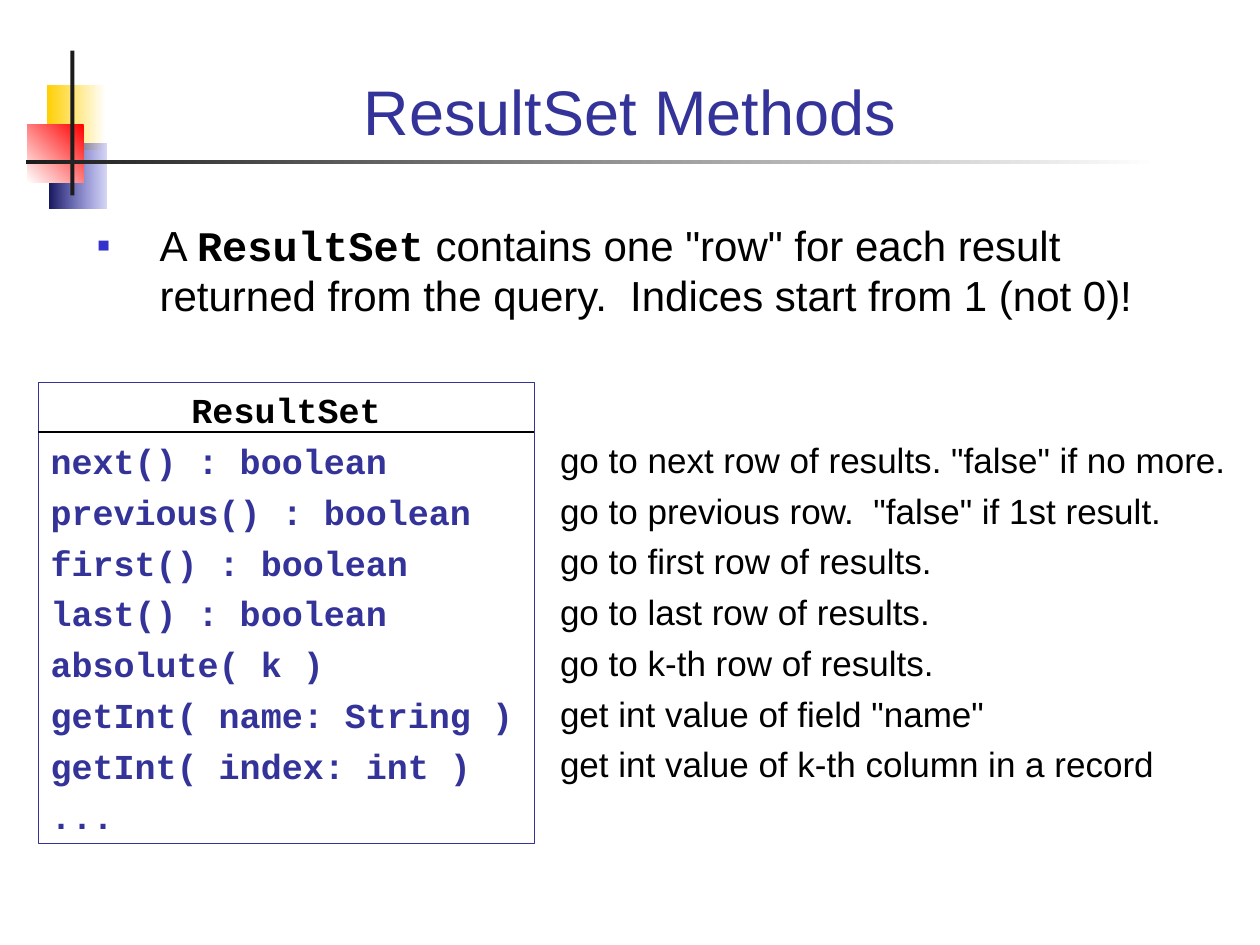
from dataclasses import dataclass

from lxml import etree
from pptx import Presentation
from pptx.dml.color import RGBColor
from pptx.enum.shapes import MSO_CONNECTOR, MSO_SHAPE
from pptx.enum.text import MSO_ANCHOR, PP_ALIGN
from pptx.oxml.ns import qn
from pptx.util import Cm, Pt


@dataclass(frozen=True)
class Theme:
    sans: str = "Arial"
    mono: str = "Courier New"
    title_size: int = 36
    body_size: int = 24
    detail_size: int = 20
    line_gap: int = 5
    black: str = "000000"
    white: str = "FFFFFF"
    indigo: str = "333399"
    bullet: str = "3333CC"
    navy: str = "17175E"
    yellow: str = "FFCF01"
    red: str = "FF0000"
    charcoal: str = "1C1C1C"


THEME = Theme()

METHODS = [
    ("next() : boolean", 'go to next row of results. "false" if no more.'),
    ("previous() : boolean", 'go to previous row.  "false" if 1st result.'),
    ("first() : boolean", "go to first row of results."),
    ("last() : boolean", "go to last row of results."),
    ("absolute( k )", "go to k-th row of results."),
    ("getInt( name: String )", 'get int value of field "name"'),
    ("getInt( index: int )", "get int value of k-th column in a record"),
]


def add_run(paragraph, text, *, size, font=THEME.sans, color=THEME.black, bold=False):
    run = paragraph.add_run()
    run.text = text
    run.font.name = font
    run.font.size = Pt(size)
    run.font.bold = bold
    run.font.color.rgb = RGBColor.from_string(color)


def set_bullet(paragraph, char, color, percent, indent):
    """Give the paragraph a hanging bullet; indent is a length."""
    properties = paragraph._p.get_or_add_pPr()
    properties.set("marL", str(indent))
    properties.set("indent", str(-indent))
    bullet_color = etree.SubElement(properties, qn("a:buClr"))
    etree.SubElement(bullet_color, qn("a:srgbClr"), val=color)
    etree.SubElement(properties, qn("a:buSzPct"), val=str(percent * 1000))
    etree.SubElement(properties, qn("a:buFont"), typeface=THEME.sans)
    etree.SubElement(properties, qn("a:buChar"), char=char)


class SlideBuilder:
    def __init__(self, slide, theme):
        self.slide = slide
        self.theme = theme

    def title(self, text, left, top, width, height):
        heading = self.slide.shapes.title
        heading.left, heading.top = Cm(left), Cm(top)
        heading.width, heading.height = Cm(width), Cm(height)
        frame = self.frame(heading, anchor=MSO_ANCHOR.BOTTOM)
        paragraph = frame.paragraphs[0]
        paragraph.alignment = PP_ALIGN.CENTER
        add_run(paragraph, text, size=self.theme.title_size, color=self.theme.indigo)

    def frame(self, shape, anchor=MSO_ANCHOR.TOP):
        frame = shape.text_frame
        frame.word_wrap = True
        frame.vertical_anchor = anchor
        frame.margin_left = frame.margin_right = Cm(0.25)
        frame.margin_top = frame.margin_bottom = Cm(0.13)
        return frame

    def text_box(self, left, top, width, height):
        box = self.slide.shapes.add_textbox(Cm(left), Cm(top), Cm(width), Cm(height))
        return self.frame(box)

    def rectangle(self, left, top, width, height):
        """Add a rectangle with neither fill, line nor shadow."""
        shape = self.slide.shapes.add_shape(
            MSO_SHAPE.RECTANGLE, Cm(left), Cm(top), Cm(width), Cm(height))
        shape.shadow.inherit = False
        shape.fill.background()
        shape.line.fill.background()
        return shape

    def solid(self, left, top, width, height, color):
        shape = self.rectangle(left, top, width, height)
        shape.fill.solid()
        shape.fill.fore_color.rgb = RGBColor.from_string(color)

    def gradient(self, left, top, width, height, start, end, angle=180, start_opacity=100):
        """Fade start to end; angle runs counter-clockwise, opacity is in percent."""
        shape = self.rectangle(left, top, width, height)
        shape.fill.gradient()
        shape.fill.gradient_angle = angle
        for stop, color in zip(shape.fill.gradient_stops, (start, end)):
            stop.color.rgb = RGBColor.from_string(color)
        if start_opacity < 100:
            first_color = shape.element.spPr.find(".//" + qn("a:srgbClr"))
            etree.SubElement(first_color, qn("a:alpha"), val=str(start_opacity * 1000))

    def outlined_box(self, left, top, width, height):
        shape = self.rectangle(left, top, width, height)
        shape.line.color.rgb = RGBColor.from_string(self.theme.indigo)
        shape.line.width = Pt(0.75)
        return self.frame(shape)

    def rule(self, left, right, y):
        line = self.slide.shapes.add_connector(
            MSO_CONNECTOR.STRAIGHT, Cm(left), Cm(y), Cm(right), Cm(y))
        line.line.color.rgb = RGBColor.from_string(self.theme.black)
        line.line.width = Pt(1)
        etree.SubElement(line.element.spPr, qn("a:effectLst"))

    def lines(self, frame, texts, **style):
        """Append one paragraph per text, spaced by the theme's line gap."""
        for text in texts:
            paragraph = frame.paragraphs[0]
            if paragraph.runs:
                paragraph = frame.add_paragraph()
                paragraph.space_before = Pt(self.theme.line_gap)
            paragraph.alignment = PP_ALIGN.LEFT
            add_run(paragraph, text, size=self.theme.detail_size, **style)


def add_ornament(builder):
    theme = builder.theme
    builder.gradient(0.94, 1.71, 1.19, 1.32, theme.white, theme.yellow)
    builder.gradient(1, 2.9, 1.14, 1.31, theme.bullet, theme.navy, start_opacity=20)
    builder.gradient(0.55, 2.51, 1.14, 1.17, theme.red, theme.white, angle=225)
    builder.solid(1.42, 1.02, 0.08, 2.92, theme.charcoal)
    builder.gradient(0.53, 3.23, 22.83, 0.08, theme.white, theme.charcoal)


def add_introduction(builder):
    theme = builder.theme
    introduction = builder.text_box(1.7, 4.29, 22, 2.57).paragraphs[0]
    set_bullet(introduction, "▪", theme.bullet, 95, Cm(1.27))
    add_run(introduction, "A ", size=theme.body_size)
    add_run(introduction, "ResultSet", size=theme.body_size, font=theme.mono, bold=True)
    add_run(introduction, ' contains one "row" for each result returned from the query.'
            "  Indices start from 1 (not 0)!", size=theme.body_size)


def add_class_diagram(builder):
    theme = builder.theme
    left, top, width = 0.77, 7.71, 10
    header_bottom = 8.71
    signatures, descriptions = zip(*METHODS)

    builder.lines(builder.text_box(11.04, header_bottom, 14.36, 8.84), descriptions)

    members = builder.outlined_box(left, top, width, 9.3)
    code = {"font": theme.mono, "bold": True}
    builder.lines(members, ["ResultSet"], **code)
    members.paragraphs[0].alignment = PP_ALIGN.CENTER
    builder.lines(members, [*signatures, "..."], color=theme.indigo, **code)
    builder.rule(left, left + width, header_bottom)


def main():
    presentation = Presentation()
    presentation.slide_width, presentation.slide_height = Cm(25.4), Cm(19.05)
    title_only = presentation.slide_layouts[5]
    builder = SlideBuilder(presentation.slides.add_slide(title_only), THEME)

    add_ornament(builder)
    builder.title("ResultSet Methods", 1.7, 0.71, 22, 2.41)
    add_introduction(builder)
    add_class_diagram(builder)
    presentation.save("out.pptx")


if __name__ == "__main__":
    main()
